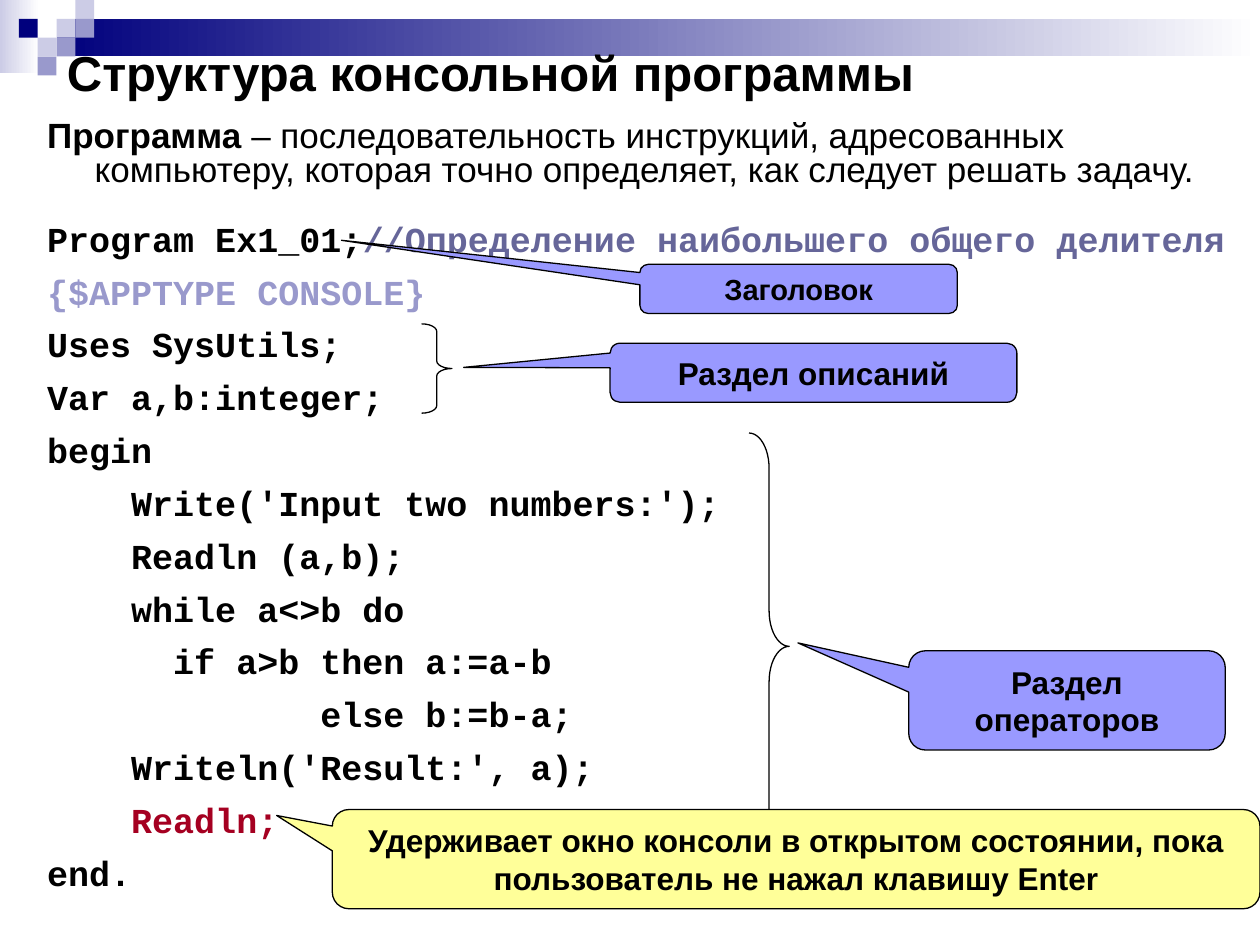
import pptx
import pptx.util
import pptx.dml.color
import pptx.enum.shapes
import pptx.enum.text

Cm, Pt = pptx.util.Cm, pptx.util.Pt
Shape = pptx.enum.shapes.MSO_SHAPE
Align = pptx.enum.text.PP_ALIGN
Anchor = pptx.enum.text.MSO_ANCHOR

INTRO = [
    ("Программа", True),
    (" – последовательность инструкций, адресованных компьютеру, "
     "которая точно определяет, как следует решать задачу.", False),
]
CODE = [
    [("Program Ex1_01;", "000000"),
     ("//Определение наибольшего общего делителя", "666699")],
    [("{$APPTYPE CONSOLE}", "9999CC")],
    [("Uses SysUtils;", "000000")],
    [("Var a,b:integer;", "000000")],
    [("begin", "000000")],
    [("    Write('Input two numbers:');", "000000")],
    [("    Readln (a,b);", "000000")],
    [("    while a<>b do", "000000")],
    [("      if a>b then a:=a-b", "000000")],
    [("             else b:=b-a;", "000000")],
    [("    Writeln('Result:', a);", "000000")],
    [("    Readln;", "A50021")],
    [("end.", "000000")],
]


def rgb(value):
    """Turn a hex string into a colour."""
    return pptx.dml.color.RGBColor.from_string(value)


def apply(target, formats):
    """Set each attribute in the dict on the target."""
    for attribute, value in formats.items():
        setattr(target, attribute, value)


def add_run(paragraph, text, colour="000000", **formats):
    """Append a formatted run."""
    run = paragraph.add_run()
    run.text = text
    apply(run.font, formats)
    run.font.color.rgb = rgb(colour)


def add_figure(slide, kind, box, fill=None, line=None, adjustments=()):
    """Place a preset shape without shadow; two fill colours make a gradient."""
    figure = slide.shapes.add_shape(kind, *map(Cm, box))
    figure.shadow.inherit = False
    for index, value in enumerate(adjustments):
        figure.adjustments[index] = value
    if fill is None:
        figure.fill.background()
    elif isinstance(fill, tuple):
        figure.fill.gradient()
        figure.fill.gradient_angle = 0
        for stop, colour, position in zip(figure.fill.gradient_stops, fill, (0, 1)):
            stop.color.rgb = rgb(colour)
            stop.position = position
    else:
        figure.fill.solid()
        figure.fill.fore_color.rgb = rgb(fill)
    if line:
        figure.line.color.rgb = rgb(line)
        figure.line.width = Pt(0.75)
    else:
        figure.line.fill.background()
    return figure


def add_banner(slide, box):
    """Draw the gradient bands and the mosaic of square tiles."""
    left, top, width, height = box
    tile = 0.38
    add_figure(slide, Shape.RECTANGLE, (left, top, 0.79, height), ("CCCCE6", "FFFFFF"))
    add_figure(slide, Shape.RECTANGLE,
               (left + 3 * tile, top + tile, width - 3 * tile, 2 * tile),
               ("00007D", "FFFFFF"))
    tiles = {(3, 1): "CCCCE6", (4, 0): "CCCCE6", (4, 1): "9999CC", (2, 2): "CCCCE6",
             (1, 1): "00007D", (3, 2): "9999CC", (2, 3): "9999CC"}
    for (column, row), colour in tiles.items():
        add_figure(slide, Shape.RECTANGLE,
                   (left + column * tile, top + row * tile, tile, tile), colour)


def add_text_frame(slide, box, anchor):
    """Add a wrapping text box and return its frame."""
    frame = slide.shapes.add_textbox(*map(Cm, box)).text_frame
    apply(frame, {"word_wrap": True, "vertical_anchor": anchor})
    return frame


def add_heading(slide, box):
    """Write the slide title."""
    frame = add_text_frame(slide, box, Anchor.MIDDLE)
    add_run(frame.paragraphs[0], "Структура консольной программы",
            name="Arial", size=Pt(28), bold=True)


def add_listing(slide, box):
    """Write the definition and the program under it."""
    frame = add_text_frame(slide, box, Anchor.TOP)
    definition = frame.paragraphs[0]
    definition.line_spacing = 0.83
    for text, bold in INTRO:
        add_run(definition, text, name="Arial", size=Pt(20), bold=bold)
    for number, parts in enumerate(CODE):
        statement = frame.add_paragraph()
        apply(statement, {"line_spacing": 1.05,
                          "space_before": Pt(5 if number else 14.4)})
        for text, colour in parts:
            add_run(statement, text, colour, name="Courier New", size=Pt(20), bold=True)
    properties = definition._p.get_or_add_pPr()
    properties.set("marL", str(Cm(0.96)))
    properties.set("indent", str(-Cm(0.96)))


def add_brace(slide, box, curve):
    """Draw a right brace around a part of the program."""
    add_figure(slide, Shape.RIGHT_BRACE, box, line="000000", adjustments=(curve, 0.5))


def add_callout(slide, box, text, tip, fill="9999FF", size=18):
    """Draw a rounded callout with its tip relative to the box."""
    callout = add_figure(slide, Shape.ROUNDED_RECTANGULAR_CALLOUT, box, fill,
                         "000000", (*tip, 0.167))
    frame = callout.text_frame
    apply(frame, {"word_wrap": True, "vertical_anchor": Anchor.MIDDLE})
    label = frame.paragraphs[0]
    label.alignment = Align.CENTER
    add_run(label, text, name="Arial", size=Pt(size), bold=True)


def main():
    """Build the slide and save it."""
    deck = pptx.Presentation()
    apply(deck, {"slide_width": Cm(25.4), "slide_height": Cm(19.05)})
    slide = deck.slides.add_slide(deck.slide_layouts[6])
    add_banner(slide, (0, 0, 25.4, 1.47))
    add_heading(slide, (1.1, 0.76, 23.8, 1.37))
    add_listing(slide, (0.7, 2.3, 24.7, 16))
    add_callout(slide, (12.9, 5.33, 6.4, 0.99), "Заголовок", (-1.44, -0.99), size=16.6)
    add_brace(slide, (8.5, 6.53, 0.61, 1.8), 0.25)
    add_callout(slide, (12.3, 6.92, 8.2, 1.19), "Раздел описаний", (-0.86, -0.09))
    add_callout(slide, (18.32, 13.12, 6.38, 2), "Раздел операторов", (-0.85, -0.58))
    add_brace(slide, (15.1, 8.73, 0.81, 8.6), 0.88)
    add_callout(slide, (6.7, 16.32, 18.7, 2),
                "Удерживает окно консоли в открытом состоянии, "
                "пока пользователь не нажал клавишу Enter",
                (-0.56, -0.44), "FFFF99")
    deck.save("out.pptx")


if __name__ == "__main__":
    main()
